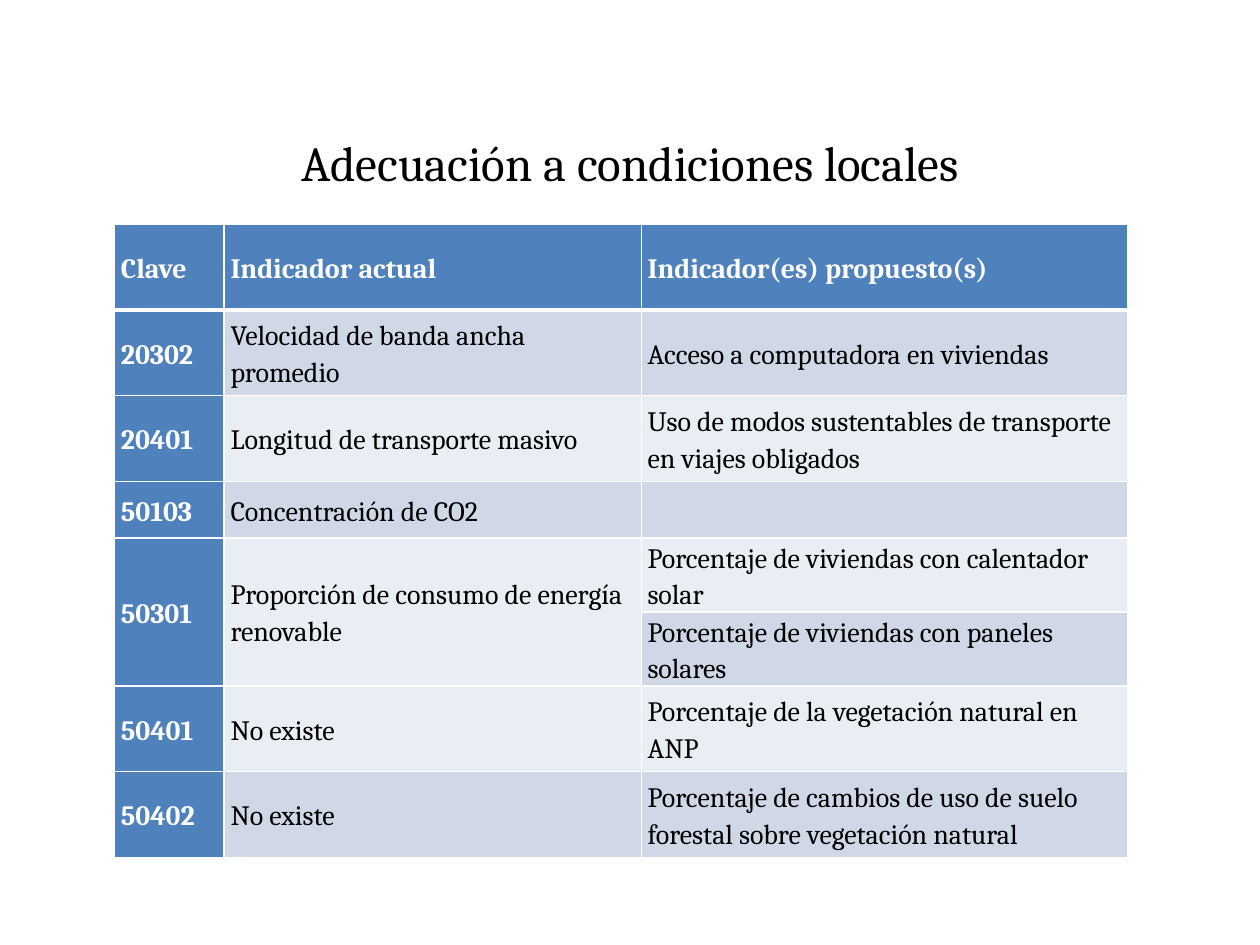
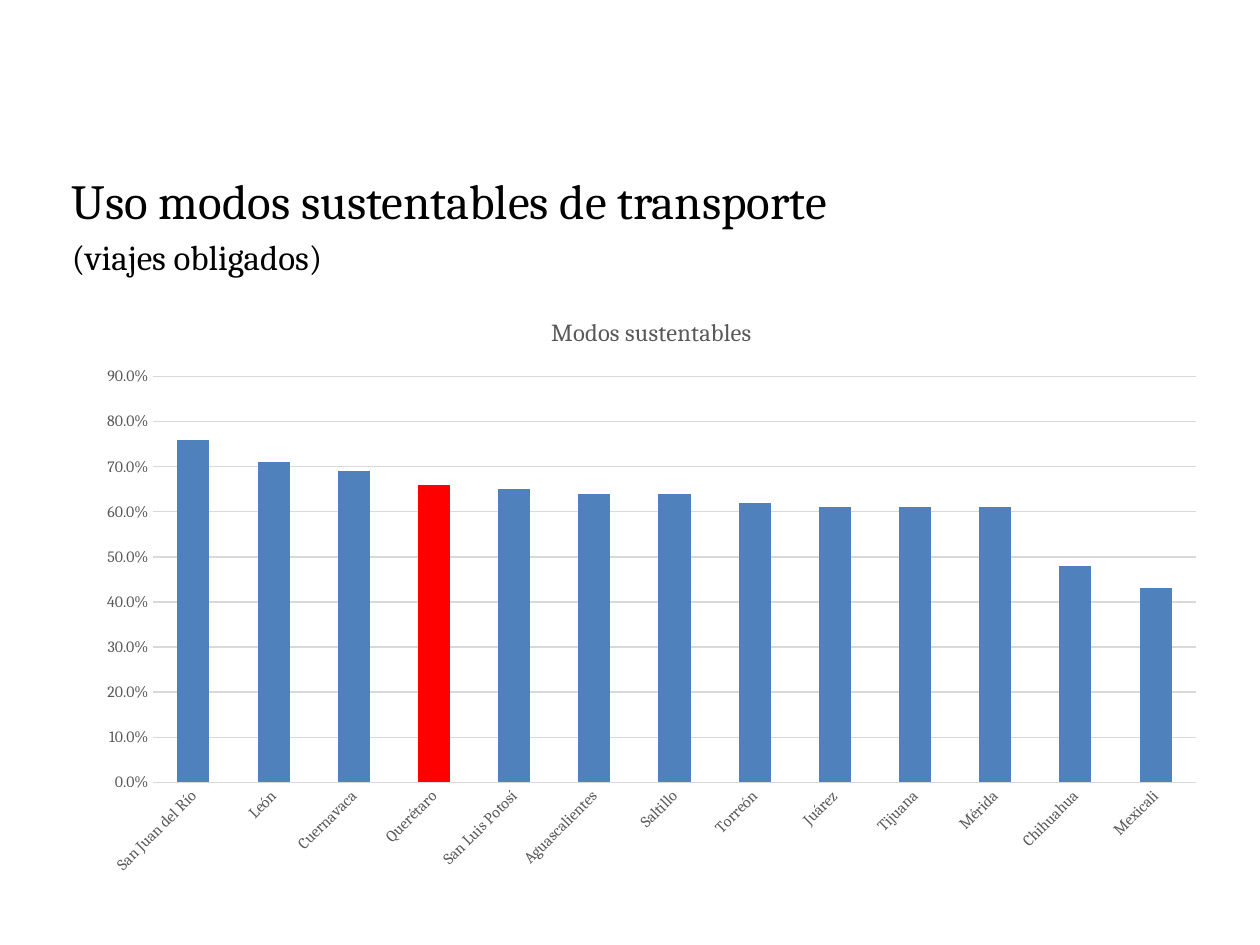
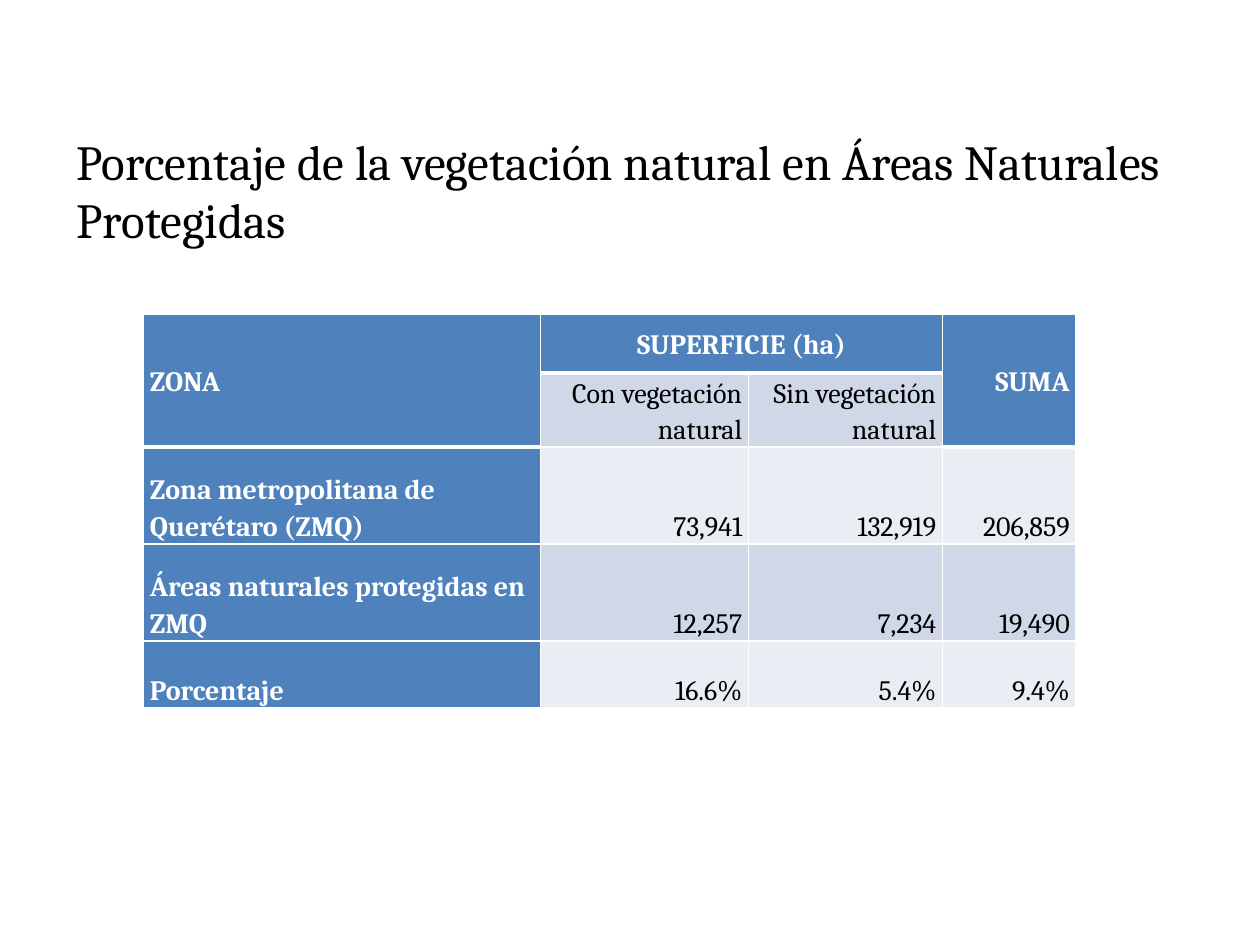
from pptx import Presentation
from pptx import util as u
from pptx.chart import data as chart_data
from pptx.dml.color import RGBColor
from pptx.enum import chart as chart_enum, text
from pptx.oxml import ns
from lxml import etree

Inches, Pt = u.Inches, u.Pt
LEFT, CENTER, RIGHT = text.PP_ALIGN.LEFT, text.PP_ALIGN.CENTER, text.PP_ALIGN.RIGHT
MIDDLE, BOTTOM = text.MSO_ANCHOR.MIDDLE, text.MSO_ANCHOR.BOTTOM

# Shared style
FONT = "Cambria"
BLACK, WHITE, GRAY, GRID = "000000", "FFFFFF", "595959", "D9D9D9"
BLUE, RED = "4F81BD", "FF0000"
BANDS = ["E9EDF4", "D0D8E8"]
LINE_SPACING = 1.15

INDICATORS = [
    ["Clave", "Indicador actual", "Indicador(es) propuesto(s)"],
    ["20302", "Velocidad de banda ancha promedio", "Acceso a computadora en viviendas"],
    ["20401", "Longitud de transporte masivo",
     "Uso de modos sustentables de transporte en viajes obligados"],
    ["50103", "Concentración de CO2", ""],
    ["50301", "Proporción de consumo de energía renovable",
     "Porcentaje de viviendas con calentador solar"],
    ["", "", "Porcentaje de viviendas con paneles solares"],
    ["50401", "No existe", "Porcentaje de la vegetación natural en ANP"],
    ["50402", "No existe",
     "Porcentaje de cambios de uso de suelo forestal sobre vegetación natural"],
]
VEGETATION = [
    ["ZONA", "SUPERFICIE (ha)", "", "SUMA"],
    ["", "Con vegetación natural", "Sin vegetación natural", ""],
    ["Zona metropolitana de Querétaro (ZMQ)", "73,941", "132,919", "206,859"],
    ["Áreas naturales protegidas en ZMQ", "12,257", "7,234", "19,490"],
    ["Porcentaje", "16.6%", "5.4%", "9.4%"],
]
SUSTAINABLE_TRIPS = {
    "San Juan del Río": 0.76, "León": 0.71, "Cuernavaca": 0.69, "Querétaro": 0.66,
    "San Luis Potosí": 0.65, "Aguascalientes": 0.64, "Saltillo": 0.64,
    "Torreón": 0.62, "Juárez": 0.61, "Tijuana": 0.61, "Mérida": 0.61,
    "Chihuahua": 0.48, "Mexicali": 0.43,
}


def color(hex_text):
    return RGBColor.from_string(hex_text)


def style_font(font, size, hex_text, bold=False):
    font.name, font.size, font.bold = FONT, Pt(size), bold
    font.color.rgb = color(hex_text)


def add_page(deck, title, box, sizes=(28,), align=LEFT, spacing=1.0):
    """Add a title-only page; each title line has its own size."""
    page = deck.slides.add_slide(deck.slide_layouts[5])
    shape = page.shapes.title
    shape.left, shape.top, shape.width, shape.height = map(Inches, box)
    frame = shape.text_frame
    frame.text = title
    frame.word_wrap = True
    frame.auto_size = text.MSO_AUTO_SIZE.NONE
    frame.vertical_anchor = text.MSO_ANCHOR.TOP
    for para, size in zip(frame.paragraphs, sizes):
        para.alignment, para.line_spacing = align, spacing
        for span in para.runs:
            style_font(span.font, size, BLACK)
    return page


def set_borders(cell, bottom_width):
    """Draw white cell edges; they must come before the fill."""
    props = cell._tc.get_or_add_tcPr()
    widths = {"a:lnL": 1, "a:lnR": 1, "a:lnT": 1, "a:lnB": bottom_width}
    for index, (tag, width) in enumerate(widths.items()):
        line = etree.Element(ns.qn(tag), w=str(Pt(width)))
        fill = etree.SubElement(line, ns.qn("a:solidFill"))
        etree.SubElement(fill, ns.qn("a:srgbClr"), val=WHITE)
        props.insert(index, line)


def add_banded_table(page, box, widths, heights, rows, merges, align_of, anchor_of):
    """Table with blue header row and first column; merges are corner pairs."""
    table = page.shapes.add_table(len(rows), len(widths), *map(Inches, box)).table
    for column, width in zip(table.columns, widths):
        column.width = Inches(width)
    for row, height in zip(table.rows, heights):
        row.height = Inches(height)
    header_cells = {(0, c) for c in range(len(widths))}
    for first, last in merges:
        table.cell(*first).merge(table.cell(*last))
        if first[0] == 0:
            header_cells.add(last)

    for r, values in enumerate(rows):
        for c, value in enumerate(values):
            cell = table.cell(r, c)
            is_header = (r, c) in header_cells
            is_blue = is_header or c == 0
            cell.fill.solid()
            cell.fill.fore_color.rgb = color(BLUE if is_blue else BANDS[r % 2])
            set_borders(cell, 3 if is_header else 1)
            cell.margin_left = cell.margin_right = Inches(0.05)
            cell.margin_top = cell.margin_bottom = 0
            cell.vertical_anchor = anchor_of(r)
            para = cell.text_frame.paragraphs[0]
            para.text = value
            para.alignment, para.line_spacing = align_of(r, c), LINE_SPACING
            style_font(para.font, 16, WHITE if is_blue else BLACK, is_blue)
            for span in para.runs:
                style_font(span.font, 16, WHITE if is_blue else BLACK, is_blue)


def add_city_chart(page, box, title, values, highlighted):
    data = chart_data.CategoryChartData(number_format="0.0%")
    data.categories = list(values)
    data.add_series(title, list(values.values()))
    chart = page.shapes.add_chart(
        chart_enum.XL_CHART_TYPE.COLUMN_STACKED, *map(Inches, box), data).chart
    style_font(chart.font, 10, BLACK)
    chart.has_legend = False
    chart.has_title = True
    chart.chart_title.text_frame.text = title
    chart.chart_title.include_in_layout = False
    style_font(chart.chart_title.text_frame.paragraphs[0].runs[0].font, 14, GRAY)

    # Columns
    plot = chart.plots[0]
    plot.gap_width, plot.overlap, plot.vary_by_categories = 150, 100, False
    series = plot.series[0]
    highlight = series.points[list(values).index(highlighted)]
    for part, fill in ((series, BLUE), (highlight, RED)):
        part.format.fill.solid()
        part.format.fill.fore_color.rgb = color(fill)

    # Axes
    for axis in (chart.category_axis, chart.value_axis):
        axis.major_tick_mark = axis.minor_tick_mark = chart_enum.XL_TICK_MARK.NONE
        axis.format.line.fill.background()
        style_font(axis.tick_labels.font, 9, GRAY)
    slanted = chart.category_axis._element.find(".//" + ns.qn("a:bodyPr"))
    slanted.set("rot", "-2700000")
    value_axis = chart.value_axis
    value_axis.minimum_scale, value_axis.maximum_scale = 0, 0.9
    value_axis.major_unit = 0.1
    value_axis.tick_labels.number_format = "0.0%"
    value_axis.tick_labels.number_format_is_linked = False
    value_axis.has_major_gridlines = True
    grid_line = value_axis.major_gridlines.format.line
    grid_line.width = Pt(0.75)
    grid_line.color.rgb = color(GRID)


def vegetation_align(row, column):
    if column == 0:
        return LEFT
    return CENTER if (row, column) == (0, 1) else RIGHT


def main():
    deck = Presentation()
    deck.slide_width, deck.slide_height = Inches(10), Inches(7.5)

    # Local indicators
    page = add_page(deck, "Adecuación a condiciones locales", (0.5, 1, 9, 1), align=CENTER)
    add_banded_table(
        page, (0.91, 1.78, 8.03, 5.06), [0.87, 3.31, 3.86],
        [0.68, 0.68, 0.68, 0.45, 0.45, 0.45, 0.68, 0.68], INDICATORS,
        [((4, 0), (5, 0)), ((4, 1), (5, 1))],
        lambda row, column: LEFT, lambda row: MIDDLE)

    # Sustainable transport
    page = add_page(deck, "Uso modos sustentables de transporte\n(viajes obligados)",
                    (0.47, 1.23, 9.22, 1), sizes=(28, 20), spacing=LINE_SPACING)
    add_city_chart(page, (0.67, 2.33, 9, 4.7), "Modos sustentables",
                   SUSTAINABLE_TRIPS, "Querétaro")

    # Protected vegetation
    page = add_page(deck, "Porcentaje de la vegetación natural en Áreas Naturales Protegidas",
                    (0.51, 0.99, 9.22, 0.94))
    add_banded_table(
        page, (1.14, 2.49, 7.4, 3.15), [3.15, 1.65, 1.54, 1.06],
        [0.47, 0.55, 0.77, 0.77, 0.53], VEGETATION,
        [((0, 0), (1, 0)), ((0, 1), (0, 2)), ((0, 3), (1, 3))],
        vegetation_align, lambda row: BOTTOM if row else MIDDLE)

    deck.save("out.pptx")


if __name__ == "__main__":
    main()
